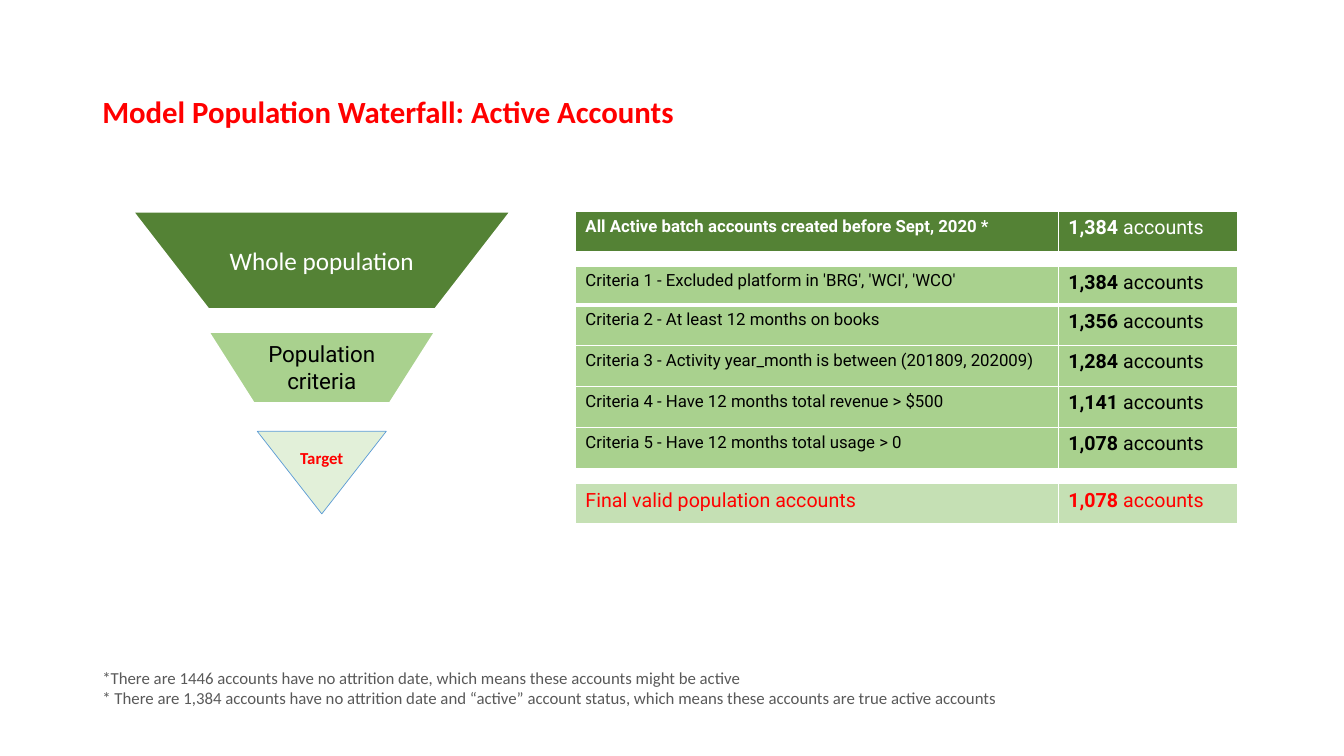
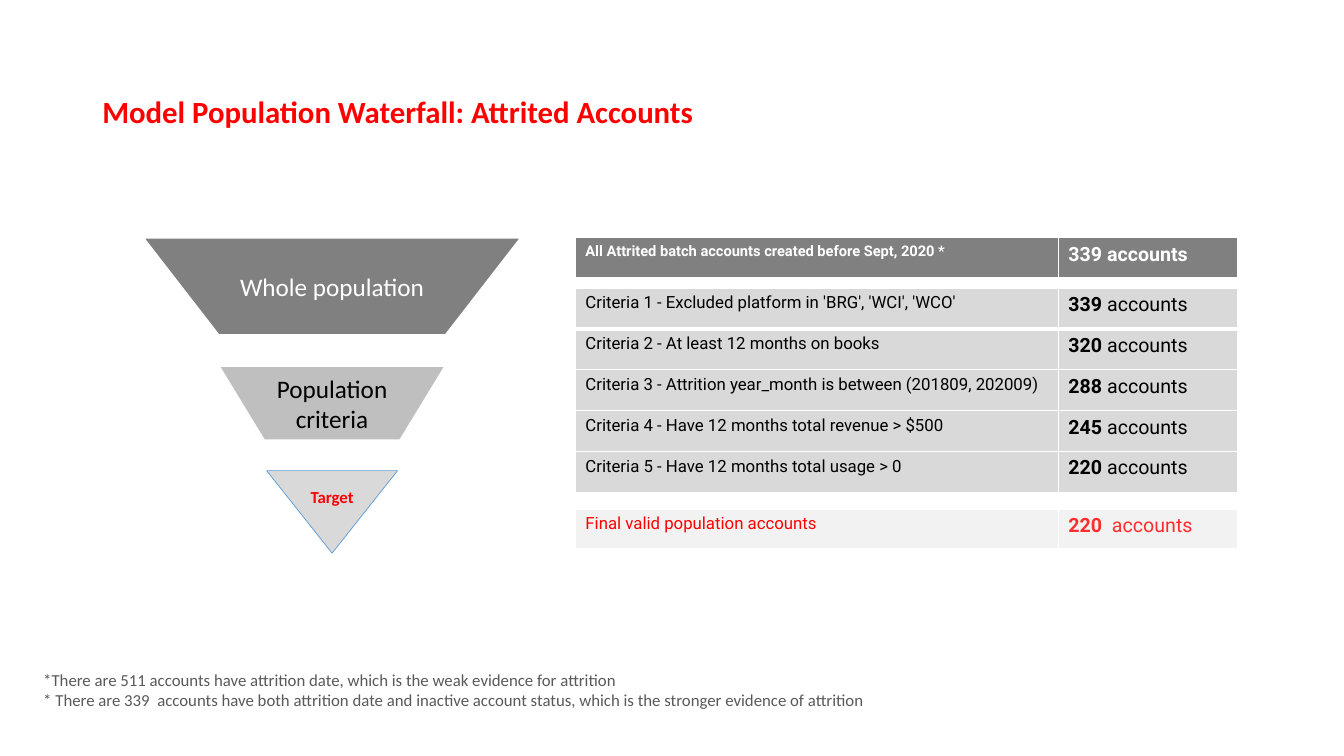
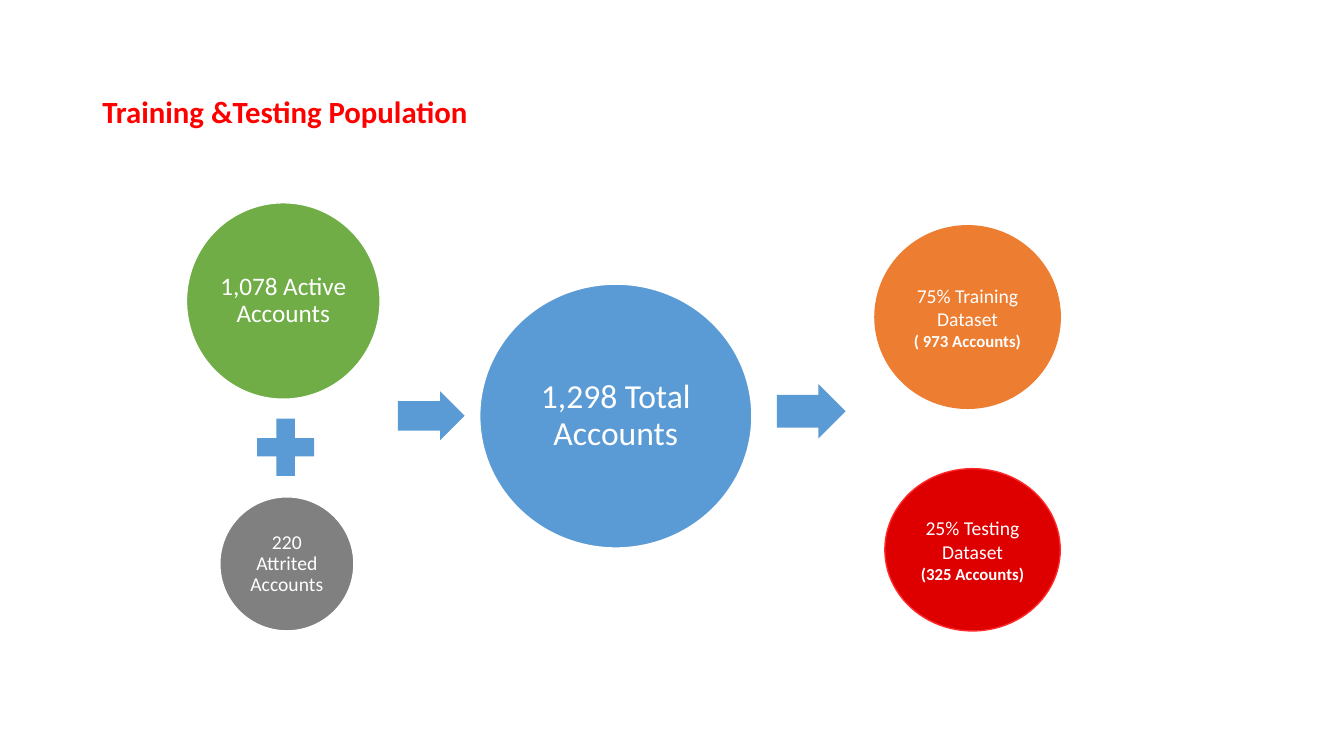
from lxml import etree
from pptx import Presentation
from pptx.dml.color import RGBColor
from pptx.enum import shapes, text
from pptx.oxml import ns
from pptx.util import Cm, Pt

# ---- Shared style (lengths in cm) ----
SANS, ROBOTO = "Calibri", "Roboto"
WHITE, BLACK, RED, BLUE, GREY = "FFFFFF", "000000", "FF0000", "5B9BD5", "808080"
NOTE_COLOUR = "595959"
TITLE_BOX = (2.33, 1.02, 29.21, 3.68)
TABLE_LEFT, COLUMN_WIDTHS, ROW_HEIGHT = 14.5, (12.17, 4.52), 1.03
NOTE_SIZE = (27.3, 1.27)
MIDDLE, TOP, BOTTOM = (text.MSO_ANCHOR.MIDDLE, text.MSO_ANCHOR.TOP,
                       text.MSO_ANCHOR.BOTTOM)
CENTRE = text.PP_ALIGN.CENTER
KIND = shapes.MSO_SHAPE

# ---- Content: waterfall slides ----
CRITERIA = [
    "Criteria 1 - Excluded platform in 'BRG', 'WCI', 'WCO'",
    "Criteria 2 - At least 12 months on books",
    "Criteria 3 - {} year_month is between (201809, 202009)",
    "Criteria 4 - Have 12 months total revenue > $500",
    "Criteria 5 - Have 12 months total usage > 0",
]
FINAL_LABEL = "Final valid population accounts"

WATERFALLS = [
    dict(
        title="Model Population Waterfall: Active Accounts",
        centre=8.11,
        # top, width, height, fill
        whole=(5.33, 9.53, 2.46, "548235"),
        criteria=(8.36, 5.72, 1.8, "A9D18E"),
        target=(10.87, 3.25, 2.08, "E2F0D9"),
        criteria_font=dict(size=16, font=ROBOTO),
        activity="Activity",
        table_tops=(5.33, 6.71, 12.19),
        first_row_height=0.97,
        table_fills=("548235", "A9D18E", "C5E0B4"),
        header=("All Active batch accounts created before Sept, 2020 *",
                [("1,384", dict(bold=True)), " accounts"]),
        header_size=12,
        counts=["1,384", "1,356", "1,284", "1,141", "1,078"],
        final=[("1,078", dict(bold=True)), " accounts"],
        final_size=14,
        final_colour=RED,
        note_at=(2.33, 16.69),
        notes=["*There are 1446 accounts have no attrition date, which means "
               "these accounts might be active",
               "* There are 1,384 accounts have no attrition date and “active” "
               "account status, which means these accounts are true active accounts"],
    ),
    dict(
        title="Model Population Waterfall: Attrited Accounts",
        centre=8.37,
        whole=(5.99, 9.53, 2.46, GREY),
        criteria=(9.22, 5.72, 1.88, "BFBFBF"),
        target=(11.86, 3.3, 2.08, "D9D9D9"),
        criteria_font=dict(size=18, font=SANS),
        activity="Attrition",
        table_tops=(5.99, 7.26, 12.83),
        first_row_height=ROW_HEIGHT,
        table_fills=(GREY, "D9D9D9", "F2F2F2"),
        header=("All Attrited batch accounts created before Sept, 2020 *",
                [("339 accounts", dict(bold=True))]),
        header_size=10.5,
        counts=["339", "320", "288", "245", "220"],
        final=[("220 ", dict(bold=True)), " accounts"],
        final_size=12,
        final_colour="FF2D2D",
        note_at=(0.84, 16.76),
        notes=["*There are 511 accounts have attrition date, which is the weak "
               "evidence for attrition",
               "* There are 339  accounts have both attrition date and inactive "
               "account status, which is the stronger evidence of attrition"],
    ),
]

# ---- Content: training and testing slide ----
SPLIT_TITLE = "Training &Testing Population"
# box, fill, line, text, size
SOURCE_CIRCLES = [
    ((4.7, 5.11, 4.88, 4.95), "70AD47", WHITE, "1,078 Active Accounts", 18),
    ((5.54, 12.52, 3.38, 3.38), GREY, WHITE, "220 Attrited Accounts", 14),
    ((12.09, 7.16, 6.86, 6.65), BLUE, WHITE, "1,298 Total Accounts", 24),
]
# box, fill, line, share, count
DATASET_CIRCLES = [
    ((22.05, 5.69, 4.67, 4.6), "ED7D31", "ED7D31",
     "75% Training Dataset", "( 973 Accounts)"),
    ((22.3, 11.81, 4.42, 4.09), "DE0000", "FF2929",
     "25% Testing Dataset", "(325 Accounts)"),
]
PLUS_BOX = (6.22, 10.29, 1.96, 1.96)
ARROW_BOXES = [(10.03, 9.86, 1.68, 1.24), (19.58, 9.68, 1.73, 1.37)]


# ---- Helpers ----
def colour(hex_string):
    return RGBColor.from_string(hex_string)


def write(frame, paragraphs, *, align=None, spacing=1.0, anchor=TOP, inset=None, **font):
    """Fill a frame; a paragraph is a string or a list of runs,
    a run is a string or (string, format)."""
    frame.word_wrap = True
    frame.vertical_anchor = anchor
    if inset is not None:
        frame.margin_left = frame.margin_right = Cm(inset)
        frame.margin_top = frame.margin_bottom = Cm(inset)
    for index, runs in enumerate(paragraphs):
        paragraph = frame.add_paragraph() if index else frame.paragraphs[0]
        paragraph.alignment = align
        paragraph.line_spacing = spacing
        for item in [runs] if isinstance(runs, str) else runs:
            content, extra = (item, {}) if isinstance(item, str) else item
            look = dict(size=12, font=SANS, color=BLACK, bold=False) | font | extra
            run = paragraph.add_run()
            run.text = content
            run.font.size = Pt(look["size"])
            run.font.name = look["font"]
            run.font.bold = look["bold"]
            run.font.color.rgb = colour(look["color"])


def add_text(slide, box, paragraphs, **style):
    write(slide.shapes.add_textbox(*map(Cm, box)).text_frame, paragraphs, **style)


def add_shape(slide, kind, box, fill, line=None, width=1):
    shape = slide.shapes.add_shape(kind, *map(Cm, box))
    shape.shadow.inherit = False
    shape.fill.solid()
    shape.fill.fore_color.rgb = colour(fill)
    if line:
        shape.line.color.rgb = colour(line)
        shape.line.width = Pt(width)
    else:
        shape.line.fill.background()
    return shape


def set_borders(cell, bottom):
    properties = cell._tc.get_or_add_tcPr()
    for index, (side, points) in enumerate(
            [("lnL", 1), ("lnR", 1), ("lnT", 1), ("lnB", bottom)]):
        line = etree.Element(ns.qn("a:" + side), w=str(Pt(points)))
        fill = etree.SubElement(line, ns.qn("a:solidFill"))
        etree.SubElement(fill, ns.qn("a:srgbClr"), val=WHITE)
        properties.insert(index, line)


def add_table(slide, top, heights, rows, fill):
    """Each row is (label runs, value runs); the first row has a thick lower edge."""
    table = slide.shapes.add_table(
        len(rows), len(COLUMN_WIDTHS), Cm(TABLE_LEFT), Cm(top),
        Cm(sum(COLUMN_WIDTHS)), Cm(sum(heights))).table
    table.first_row = table.horz_banding = False
    for column, width in zip(table.columns, COLUMN_WIDTHS):
        column.width = Cm(width)
    for row_index, (height, row) in enumerate(zip(heights, rows)):
        table.rows[row_index].height = Cm(height)
        for column_index, (runs, style) in enumerate(row):
            cell = table.cell(row_index, column_index)
            cell.fill.solid()
            cell.fill.fore_color.rgb = colour(fill)
            set_borders(cell, 1 if row_index else 3)
            write(cell.text_frame, [runs], font=ROBOTO, **style)


def new_slide(title):
    slide = presentation.slides.add_slide(presentation.slide_layouts[6])
    add_text(slide, TITLE_BOX, [title], size=22, color=RED, bold=True,
             spacing=0.9, anchor=MIDDLE)
    return slide


def add_funnel(slide, data):
    levels = [
        ("whole", KIND.FLOWCHART_MANUAL_OPERATION, WHITE, 1.5, "Whole population",
         dict(size=18, color=WHITE, anchor=MIDDLE)),
        ("criteria", KIND.FLOWCHART_MANUAL_OPERATION, WHITE, 1.5, "Population criteria",
         dict(anchor=MIDDLE, **data["criteria_font"])),
        ("target", KIND.FLOWCHART_MERGE, BLUE, 0.5, "Target",
         dict(color=RED, bold=True, anchor=BOTTOM)),
    ]
    for level, kind, line, line_width, label, style in levels:
        top, width, height, fill = data[level]
        box = (data["centre"] - width / 2, top, width, height)
        shape = add_shape(slide, kind, box, fill, line, line_width)
        write(shape.text_frame, [label], align=CENTRE, **style)


def add_waterfall(data):
    slide = new_slide(data["title"])
    add_funnel(slide, data)
    label, value = data["header"]
    header = [((label, dict(size=data["header_size"], color=WHITE, bold=True)),
               (value, dict(size=14, color=WHITE)))]
    criteria = [((name.format(data["activity"]), dict(size=12)),
                 ([(count, dict(bold=True)), " accounts"], dict(size=14)))
                for name, count in zip(CRITERIA, data["counts"])]
    final = [((FINAL_LABEL, dict(size=data["final_size"], color=RED)),
              (data["final"], dict(size=14, color=data["final_colour"])))]
    for top, rows, fill in zip(data["table_tops"], (header, criteria, final),
                               data["table_fills"]):
        heights = [ROW_HEIGHT] * len(rows)
        if rows is criteria:
            heights[0] = data["first_row_height"]
        add_table(slide, top, heights, rows, fill)
    add_text(slide, data["note_at"] + NOTE_SIZE, data["notes"], color=NOTE_COLOUR)


def add_split():
    slide = new_slide(SPLIT_TITLE)
    for box, fill, line, label, size in SOURCE_CIRCLES:
        circle = add_shape(slide, KIND.OVAL, box, fill, line)
        write(circle.text_frame, [label], size=size, color=WHITE, align=CENTRE,
              spacing=0.9, anchor=MIDDLE, inset=0.07)
    for box, fill, line, share, count in DATASET_CIRCLES:
        circle = add_shape(slide, KIND.OVAL, box, fill, line)
        write(circle.text_frame, [share, [(count, dict(size=12, bold=True))]],
              size=14, color=WHITE, align=CENTRE, anchor=MIDDLE)
    add_shape(slide, KIND.MATH_PLUS, PLUS_BOX, BLUE)
    for box in ARROW_BOXES:
        arrow = add_shape(slide, KIND.RIGHT_ARROW, box, BLUE)
        arrow.adjustments[0], arrow.adjustments[1] = 0.6, 0.5


# ---- Build ----
presentation = Presentation()
presentation.slide_width, presentation.slide_height = Cm(33.87), Cm(19.05)
for waterfall in WATERFALLS:
    add_waterfall(waterfall)
add_split()
presentation.save("out.pptx")
